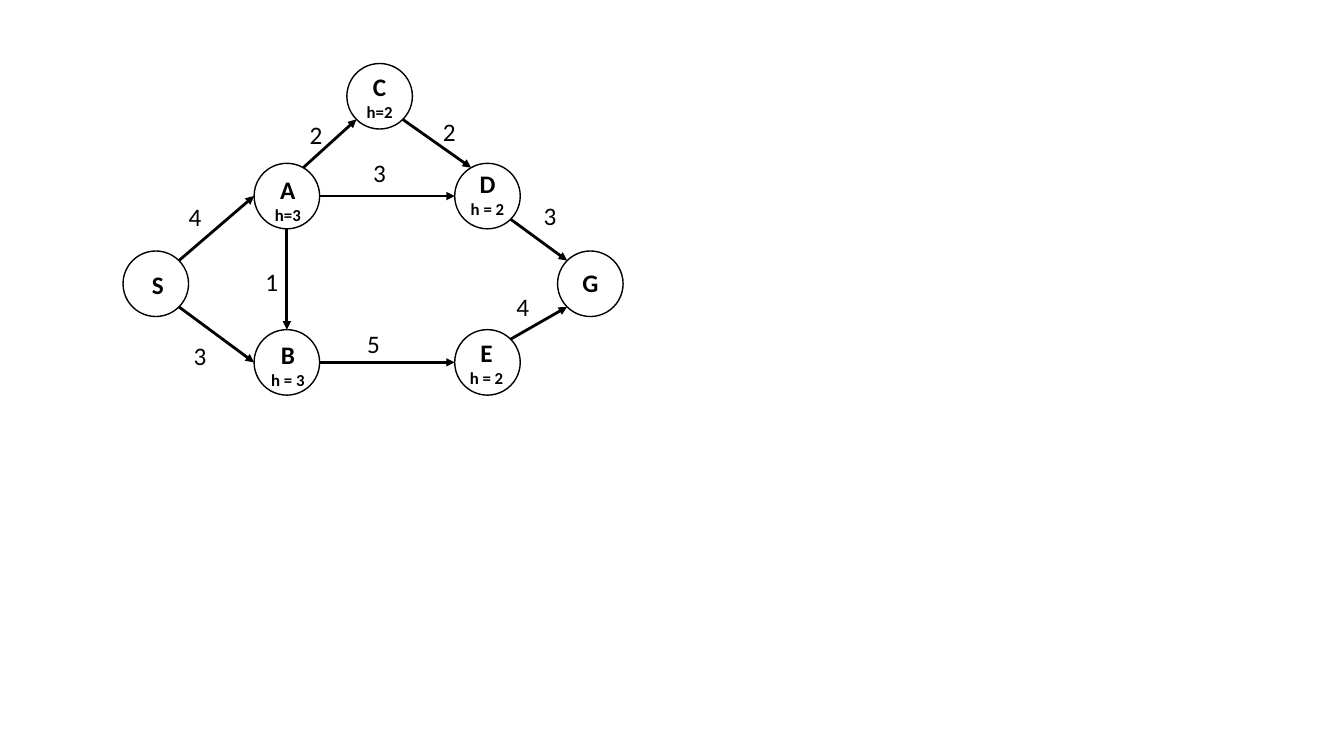
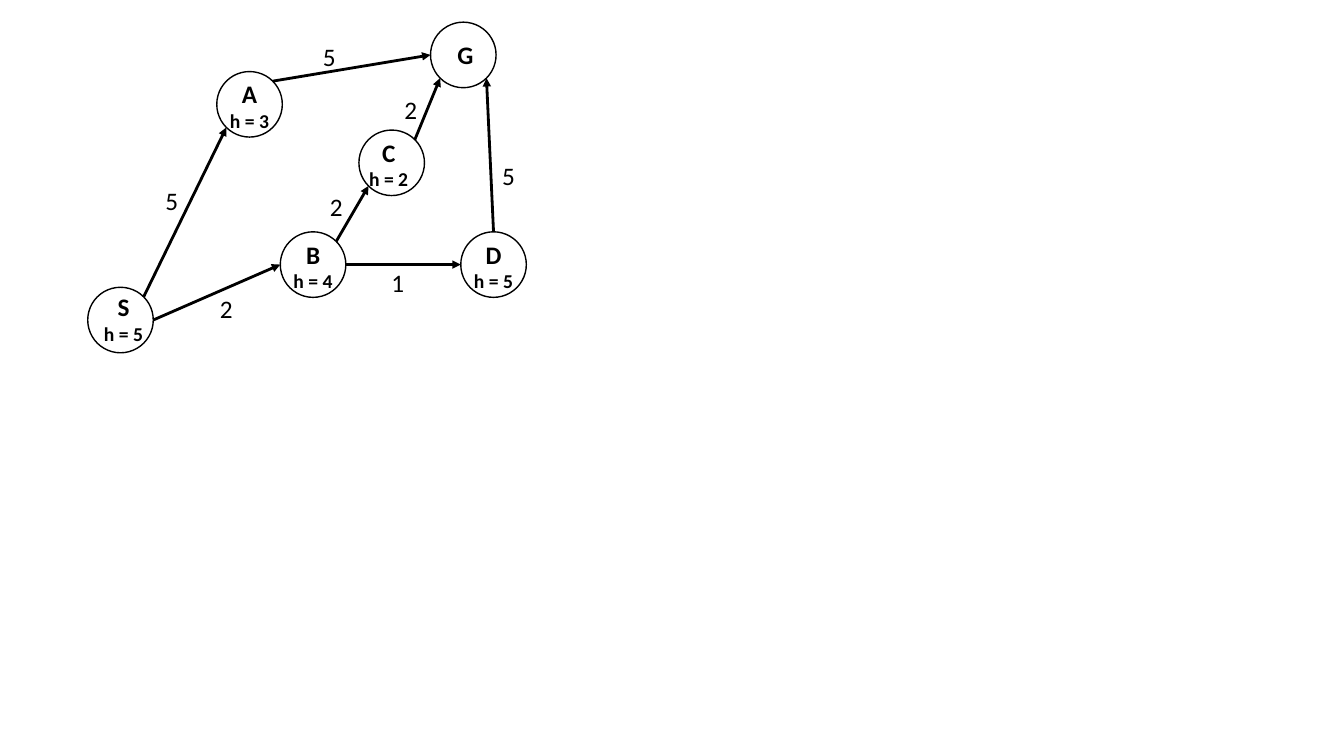
"""Build two slides, each with a weighted search graph."""
import math
import pptx
import pptx.util
import pptx.dml.color
import pptx.enum.shapes
import pptx.enum.text
import pptx.oxml.ns
import lxml.etree

Inches = pptx.util.Inches
Pt = pptx.util.Pt
COLORS = {"ink": "000000"}
FONT = "Calibri"
SIZE = 0.65
NAME_PT = 18

# name: (note, x, y, label shift x, label shift y)
FIRST = {
    "left": 1.22, "top": 0.63, "note": 12,
    "nodes": {
        "S": ("", 0, 1.86, 0.02, 0.13),
        "A": ("h=3", 1.3, 0.99, 0.01, 0.06),
        "B": ("h = 3", 1.3, 2.64, 0.01, 0.05),
        "C": ("h=2", 2.22, 0, 0, 0.03),
        "D": ("h = 2", 3.29, 0.99, 0, 0),
        "E": ("h = 2", 3.29, 2.64, -0.01, 0.03),
        "G": ("", 4.31, 1.86, 0, 0.11),
    },
    "edges": [
        ("S", 45, "A", 180, "4", 0.55, 1.32),
        ("S", 315, "B", 180, "3", 0.6, 2.7),
        ("A", 270, "B", 90, "1", 1.31, 1.96),
        ("A", 60, "C", 225, "2", 1.75, 0.5),
        ("A", 0, "D", 180, "3", 2.38, 0.88),
        ("B", 0, "E", 180, "5", 2.32, 2.58),
        ("C", 315, "D", 120, "2", 3.07, 0.47),
        ("D", 315, "G", 135, "3", 4.07, 1.31),
        ("E", 45, "G", 225, "4", 3.8, 2.21),
    ],
}
SECOND = {
    "left": 0.87, "top": 0.22, "note": 14,
    "nodes": {
        "S": ("h = 5", 0, 2.63, 0.03, -0.01),
        "A": ("h = 3", 1.28, 0.49, 0, 0.02),
        "B": ("h = 4", 1.91, 2.08, 0, 0.02),
        "C": ("h = 2", 2.69, 1.07, -0.03, 0.02),
        "D": ("h = 5", 3.7, 2.08, 0, 0.02),
        "G": ("", 3.4, 0, 0.02, 0.12),
    },
    "edges": [
        ("S", 45, "A", 225, "5", 0.67, 1.57),
        ("S", 0, "B", 180, "2", 1.21, 2.64),
        ("A", 45, "G", 180, "5", 2.23, 0.14),
        ("B", 45, "C", 225, "2", 2.3, 1.63),
        ("B", 0, "D", 180, "1", 2.91, 2.38),
        ("C", 45, "G", 225, "2", 3.04, 0.67),
        ("D", 90, "G", 315, "5", 4.01, 1.32),
    ],
}


def paint(target):
    """Set the ink colour on a line or a font."""
    target.color.rgb = pptx.dml.color.RGBColor.from_string(COLORS["ink"])


def add_text(slide, left, top, width, height, lines, bold=False):
    """Place centred lines, each a pair of text and size."""
    box = slide.shapes.add_textbox(
        Inches(left), Inches(top), Inches(width), Inches(height))
    frame = box.text_frame
    frame.word_wrap = False
    frame.auto_size = pptx.enum.text.MSO_AUTO_SIZE.SHAPE_TO_FIT_TEXT
    for place, (text, size) in enumerate(lines):
        para = frame.add_paragraph() if place else frame.paragraphs[0]
        para.alignment = pptx.enum.text.PP_ALIGN.CENTER
        run = para.add_run()
        run.text = text
        run.font.name = FONT
        run.font.size = Pt(size)
        run.font.bold = bold
        paint(run.font)


def add_node(slide, left, top, name, note, shift, note_pt):
    """Draw a circle with its name and, if any, its note."""
    ring = slide.shapes.add_shape(
        pptx.enum.shapes.MSO_SHAPE.OVAL,
        Inches(left), Inches(top), Inches(SIZE), Inches(SIZE))
    ring.shadow.inherit = False
    ring.fill.background()
    ring.line.width = Pt(1)
    paint(ring.line)
    lines = [(name, NAME_PT)] + ([(note, note_pt)] if note else [])
    height = 0.1 + sum(size for text, size in lines) * 1.22 / 72
    add_text(slide, left + shift[0], top + shift[1], SIZE, height, lines, True)


def rim(left, top, angle):
    """Return the point of a circle at an angle in degrees."""
    turn = math.radians(angle)
    half = SIZE / 2
    return (Inches(left + half + half * math.cos(turn)),
            Inches(top + half - half * math.sin(turn)))


def add_arrow(slide, start, end):
    """Draw a straight arrow between two points."""
    arrow = slide.shapes.add_connector(
        pptx.enum.shapes.MSO_CONNECTOR.STRAIGHT, *start, *end)
    arrow.line.width = Pt(2)
    paint(arrow.line)
    qn = pptx.oxml.ns.qn
    lxml.etree.SubElement(
        arrow.line._get_or_add_ln(), qn("a:tailEnd")).set("type", "triangle")
    lxml.etree.SubElement(arrow._element.spPr, qn("a:effectLst"))


def add_graph(slide, graph):
    """Draw the nodes, arrows and weights from the top left corner."""
    left, top = graph["left"], graph["top"]
    spots = {}
    for name, (note, x, y, *shift) in graph["nodes"].items():
        spots[name] = (left + x, top + y)
        add_node(slide, *spots[name], name, note, shift, graph["note"])
    for start, out, end, into, weight, x, y in graph["edges"]:
        add_arrow(slide, rim(*spots[start], out), rim(*spots[end], into))
        add_text(slide, left + x, top + y, 0.33, 0.4, [(weight, NAME_PT)])


def main():
    """Build and save the deck."""
    deck = pptx.Presentation()
    deck.slide_width, deck.slide_height = Inches(13.33), Inches(7.5)
    for graph in (FIRST, SECOND):
        add_graph(deck.slides.add_slide(deck.slide_layouts[6]), graph)
    deck.save("out.pptx")


if __name__ == "__main__":
    main()
